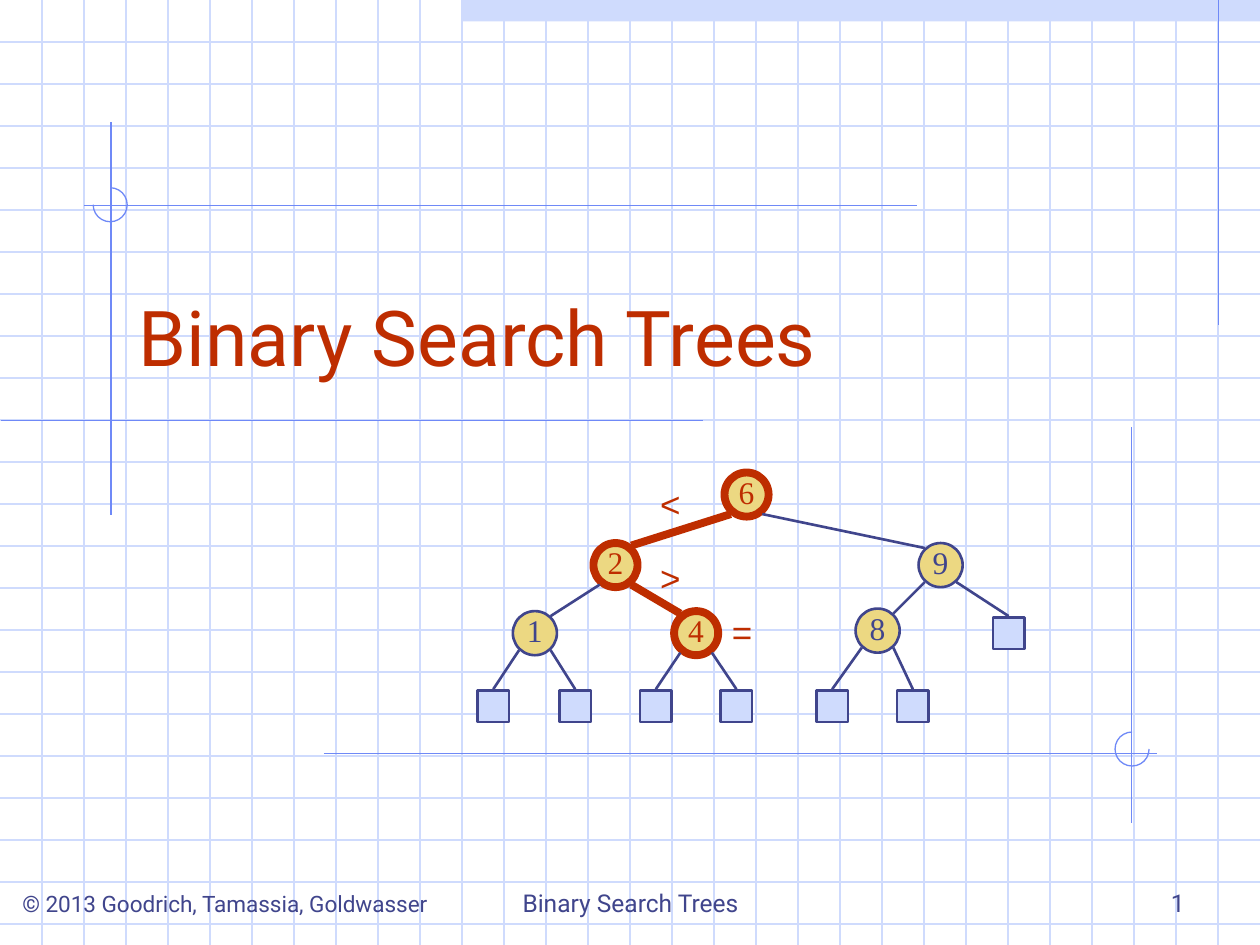
"""Build the title slide of a lecture on binary search trees."""
import pptx
import pptx.dml.color
import pptx.enum.shapes
import pptx.enum.text
import pptx.oxml.ns
import pptx.util
from lxml import etree

Inches = pptx.util.Inches
Pt = pptx.util.Pt
RGBColor = pptx.dml.color.RGBColor
MSO_SHAPE = pptx.enum.shapes.MSO_SHAPE
MSO_ANCHOR = pptx.enum.text.MSO_ANCHOR
PP_ALIGN = pptx.enum.text.PP_ALIGN

COLORS = {
    "pale": "CFDBFD",
    "guide": "6F89F7",
    "ink": "40458C",
    "red": "BE2D00",
    "node": "ECD882",
}
WIDTH, HEIGHT, GRID_STEP = 10, 7.5, 1 / 3
NODE_SIZE, LEAF_SIZE = 0.35, 0.25

presentation = pptx.Presentation()
presentation.slide_width = Inches(WIDTH)
presentation.slide_height = Inches(HEIGHT)
slide = presentation.slides.add_slide(presentation.slide_layouts[5])
shapes = slide.shapes


def add_line(start, end, color, width):
    line = shapes.add_connector(
        pptx.enum.shapes.MSO_CONNECTOR.STRAIGHT,
        *[Inches(value) for value in (*start, *end)],
    )
    line.line.color.rgb = RGBColor.from_string(COLORS[color])
    line.line.width = Pt(width)
    properties = line._element.spPr
    etree.SubElement(properties, pptx.oxml.ns.qn("a:effectLst"))


def write_text(shape, text, font, size, color, align, anchor):
    frame = shape.text_frame
    frame.vertical_anchor = anchor
    paragraph = frame.paragraphs[0]
    paragraph.alignment = align
    run = paragraph.add_run()
    run.text = text
    run.font.name = font
    run.font.size = Pt(size)
    run.font.color.rgb = RGBColor.from_string(COLORS[color])


banner = shapes.add_shape(
    MSO_SHAPE.RECTANGLE, Inches(3.67), Inches(0), Inches(6.33), Inches(0.17)
)
banner.shadow.inherit = False
banner.fill.solid()
banner.fill.fore_color.rgb = RGBColor.from_string(COLORS["pale"])
banner.line.fill.background()

for row in range(1, 23):
    add_line((0, row * GRID_STEP), (WIDTH, row * GRID_STEP), "pale", 0.75)
for column in range(1, 30):
    add_line((column * GRID_STEP, 0), (column * GRID_STEP, HEIGHT), "pale", 0.75)

guides = [
    ((9.67, 0), (9.67, 2.58)),
    ((0.88, 0.97), (0.88, 4.09)),
    ((0.01, 3.34), (5.58, 3.34)),
    ((0.67, 1.63), (7.28, 1.63)),
    ((2.57, 5.98), (9.18, 5.98)),
    ((8.98, 3.39), (8.98, 6.53)),
]
for start, end in guides:
    add_line(start, end, "guide", 0.75)

for left, top, start_angle, end_angle in [(0.74, 1.49, 270, 180), (8.85, 5.81, 0, 270)]:
    arc = shapes.add_shape(
        MSO_SHAPE.ARC, Inches(left), Inches(top), Inches(0.27), Inches(0.27)
    )
    arc.adjustments[0] = start_angle * 0.6
    arc.adjustments[1] = end_angle * 0.6
    arc.shadow.inherit = False
    arc.fill.background()
    arc.line.color.rgb = RGBColor.from_string(COLORS["guide"])
    arc.line.width = Pt(0.75)

title = shapes.title
title.left, title.top = Inches(1), Inches(1.83)
title.width, title.height = Inches(8.5), Inches(1.25)
title.text_frame.auto_size = pptx.enum.text.MSO_AUTO_SIZE.NONE
write_text(
    title, "Binary Search Trees", "Roboto", 44, "red", PP_ALIGN.LEFT, MSO_ANCHOR.BOTTOM
)
title._element.getparent().append(title._element)

footers = [
    ("© 2013 Goodrich, Tamassia, Goldwasser", 0.08, 3.83, 12.9, PP_ALIGN.LEFT),
    ("Binary Search Trees", 3.42, 3.17, 14, PP_ALIGN.CENTER),
    ("1", 7.17, 2.33, 14, PP_ALIGN.RIGHT),
]
for text, left, width, size, align in footers:
    footer = shapes.add_textbox(Inches(left), Inches(6.83), Inches(width), Inches(0.5))
    footer.text_frame.word_wrap = True
    write_text(footer, text, "Roboto", size, "ink", align, MSO_ANCHOR.BOTTOM)

nodes = {
    "6": (5.75, 3.75),
    "2": (4.71, 4.31),
    "9": (7.29, 4.31),
    "1": (4.07, 4.85),
    "4": (5.35, 4.85),
    "8": (6.79, 4.83),
}
search_route = ["6", "2", "4"]
children = [("6", "2", "9"), ("2", "1", "4"), ("9", "8", None)]
leaves = {
    ("1", -1): (3.79, 5.48),
    ("1", 1): (4.44, 5.48),
    ("4", -1): (5.08, 5.48),
    ("4", 1): (5.72, 5.48),
    ("8", -1): (6.48, 5.48),
    ("8", 1): (7.12, 5.48),
    ("9", 1): (7.88, 4.9),
}

for key, (left, top) in nodes.items():
    color, width = ("red", 4.5) if key in search_route else ("ink", 1.5)
    node = shapes.add_shape(
        MSO_SHAPE.OVAL, Inches(left), Inches(top), Inches(NODE_SIZE), Inches(NODE_SIZE)
    )
    node.shadow.inherit = False
    node.fill.solid()
    node.fill.fore_color.rgb = RGBColor.from_string(COLORS["node"])
    node.line.color.rgb = RGBColor.from_string(COLORS[color])
    node.line.width = Pt(width)
    frame = node.text_frame
    frame.margin_left = frame.margin_right = frame.margin_top = 0
    frame.margin_bottom = Inches(0.05)
    frame.word_wrap = False
    write_text(
        node, key, "Times New Roman", 18, color, PP_ALIGN.CENTER, MSO_ANCHOR.MIDDLE
    )

anchors = {}
for key, (left, top) in nodes.items():
    reach = 0.155 if key in search_route else 0.135
    for side in (-1, 1):
        for level in (-1, 1):
            anchors[key, side, level] = (
                left + NODE_SIZE / 2 + side * 0.125,
                top + NODE_SIZE / 2 + level * reach,
            )

for parent, *pair in children:
    for side, child in zip((-1, 1), pair):
        if child:
            on_route = parent in search_route and child in search_route
            color, width = ("red", 4.5) if on_route else ("ink", 1.5)
            add_line(
                anchors[parent, side, 1], anchors[child, -side, -1], color, width
            )

for (parent, side), (left, top) in leaves.items():
    leaf = shapes.add_shape(
        MSO_SHAPE.RECTANGLE,
        Inches(left), Inches(top), Inches(LEAF_SIZE), Inches(LEAF_SIZE),
    )
    leaf.shadow.inherit = False
    leaf.fill.solid()
    leaf.fill.fore_color.rgb = RGBColor.from_string(COLORS["pale"])
    leaf.line.color.rgb = RGBColor.from_string(COLORS["ink"])
    leaf.line.width = Pt(1.5)
    add_line(
        anchors[parent, side, 1], (left + LEAF_SIZE / 2, top - 0.01), "ink", 1.5
    )

for sign, left, top, width in [
    ("<", 5.14, 3.78, 0.36), (">", 5.14, 4.37, 0.36), ("=", 5.68, 4.8, 0.42)
]:
    label = shapes.add_textbox(Inches(left), Inches(top), Inches(width), Inches(0.44))
    label.text_frame.word_wrap = False
    write_text(label, sign, "Arial", 20, "red", PP_ALIGN.CENTER, MSO_ANCHOR.TOP)

presentation.save("out.pptx")
